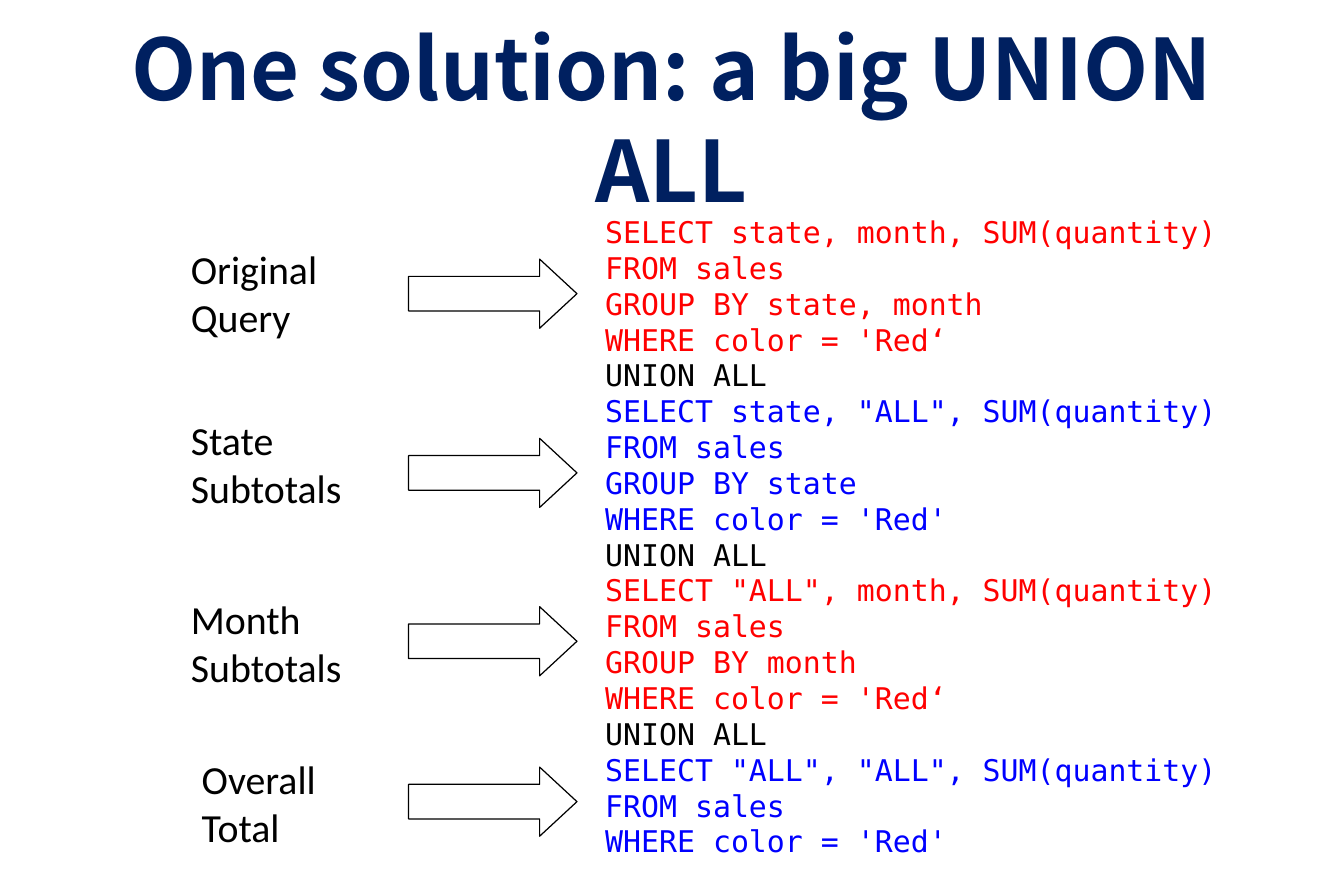
from dataclasses import dataclass

from lxml import etree
from pptx import Presentation
from pptx.dml.color import RGBColor
from pptx.enum.shapes import MSO_SHAPE
from pptx.enum.text import MSO_ANCHOR, MSO_AUTO_SIZE, PP_ALIGN
from pptx.util import Cm, Pt

RIGHT_ARROW = MSO_SHAPE.RIGHT_ARROW
MIDDLE, TOP = MSO_ANCHOR.MIDDLE, MSO_ANCHOR.TOP
CENTER, LEFT = PP_ALIGN.CENTER, PP_ALIGN.LEFT
NO_AUTOFIT = MSO_AUTO_SIZE.NONE

# Content
TITLE = "One solution: a big UNION ALL"
SEPARATOR = "UNION ALL"
# Each step: label lines, label (left, top, width), arrow top, query lines; lengths in cm
STEPS = [
    (["Original", "Query"], (3.81, 5.08, 3.23), 5.51,
     ["SELECT state, month, SUM(quantity)", "FROM sales",
      "GROUP BY state, month", "WHERE color = 'Red‘"]),
    (["State", "Subtotals"], (3.81, 8.71, 3.73), 9.32,
     ['SELECT state, "ALL", SUM(quantity)', "FROM sales",
      "GROUP BY state", "WHERE color = 'Red'"]),
    (["Month", "Subtotals"], (3.81, 12.52, 3.73), 12.9,
     ['SELECT "ALL", month, SUM(quantity)', "FROM sales",
      "GROUP BY month", "WHERE color = 'Red‘"]),
    (["Overall", "Total"], (4.04, 15.93, 2.97), 16.31,
     ['SELECT "ALL", "ALL", SUM(quantity)', "FROM sales",
      "WHERE color = 'Red'"]),
]


@dataclass(frozen=True)
class Theme:
    title_font: str = "Noto Sans CJK SC"
    code_font: str = "DejaVu Sans Mono"
    label_font: str = "Calibri"
    title_size: float = 51
    code_size: float = 18
    label_size: float = 24
    line_pitch: float = 1.2
    navy: str = "002060"
    black: str = "000000"
    query_colors: tuple = ("FF0000", "0000FF")


THEME = Theme()


def write_text(shape, lines, *, font, size, anchor=TOP, align=LEFT,
               bold=False, wrap=True, pitch=None):
    """Fill a shape with (text, color) lines, one paragraph each."""
    frame = shape.text_frame
    frame.word_wrap = wrap
    frame.auto_size = NO_AUTOFIT
    frame.vertical_anchor = anchor
    for index, (text, color) in enumerate(lines):
        paragraph = frame.paragraphs[0] if index == 0 else frame.add_paragraph()
        paragraph.alignment = align
        if pitch:
            paragraph.line_spacing = Pt(size * pitch)
        run = paragraph.add_run()
        run.text = text
        run.font.name = font
        run.font.size = Pt(size)
        run.font.bold = bold
        run.font.color.rgb = RGBColor.from_string(color)
        # The title face needs its East Asian slot named as well
        if font == THEME.title_font:
            latin = run.font._element.find("{*}latin")
            east_asian = etree.Element(latin.tag.replace("latin", "ea"), typeface=font)
            latin.addnext(east_asian)


def add_arrow(slide, top):
    arrow = slide.shapes.add_shape(RIGHT_ARROW, Cm(8.69), Cm(top), Cm(3.58), Cm(1.47))
    arrow.adjustments[0] = 0.5
    arrow.adjustments[1] = 0.54
    arrow.shadow.inherit = False
    arrow.fill.background()
    arrow.line.color.rgb = RGBColor.from_string(THEME.black)
    arrow.line.width = Pt(0.75)


def main():
    presentation = Presentation()
    presentation.slide_width, presentation.slide_height = Cm(28.58), Cm(19.05)
    slide = presentation.slides.add_slide(presentation.slide_layouts[5])

    # Title
    title = slide.shapes.title
    title.left, title.top, title.width, title.height = Cm(1.43), Cm(0.76), Cm(25.7), Cm(3.18)
    frame = title.text_frame
    frame.margin_left = frame.margin_right = Cm(0.3)
    frame.margin_top, frame.margin_bottom = Cm(0.45), Cm(0.15)
    write_text(title, [(TITLE, THEME.navy)], font=THEME.title_font, size=THEME.title_size,
               anchor=MIDDLE, align=CENTER, bold=True, pitch=THEME.line_pitch)

    # Query: alternating colors, joined by the separator
    code_lines = []
    for index, (_, _, _, query) in enumerate(STEPS):
        if index:
            code_lines.append((SEPARATOR, THEME.black))
        color = THEME.query_colors[index % len(THEME.query_colors)]
        code_lines += [(line, color) for line in query]
    code_box = slide.shapes.add_textbox(Cm(12.62), Cm(4.42), Cm(15.95), Cm(14.1))
    write_text(code_box, code_lines, font=THEME.code_font, size=THEME.code_size,
               pitch=THEME.line_pitch)

    # Arrows and labels
    for label, (left, top, width), arrow_top, _ in STEPS:
        add_arrow(slide, arrow_top)
        label_box = slide.shapes.add_textbox(Cm(left), Cm(top), Cm(width), Cm(2.31))
        write_text(label_box, [(line, THEME.black) for line in label],
                   font=THEME.label_font, size=THEME.label_size, wrap=False)

    presentation.save("out.pptx")


if __name__ == "__main__":
    main()
